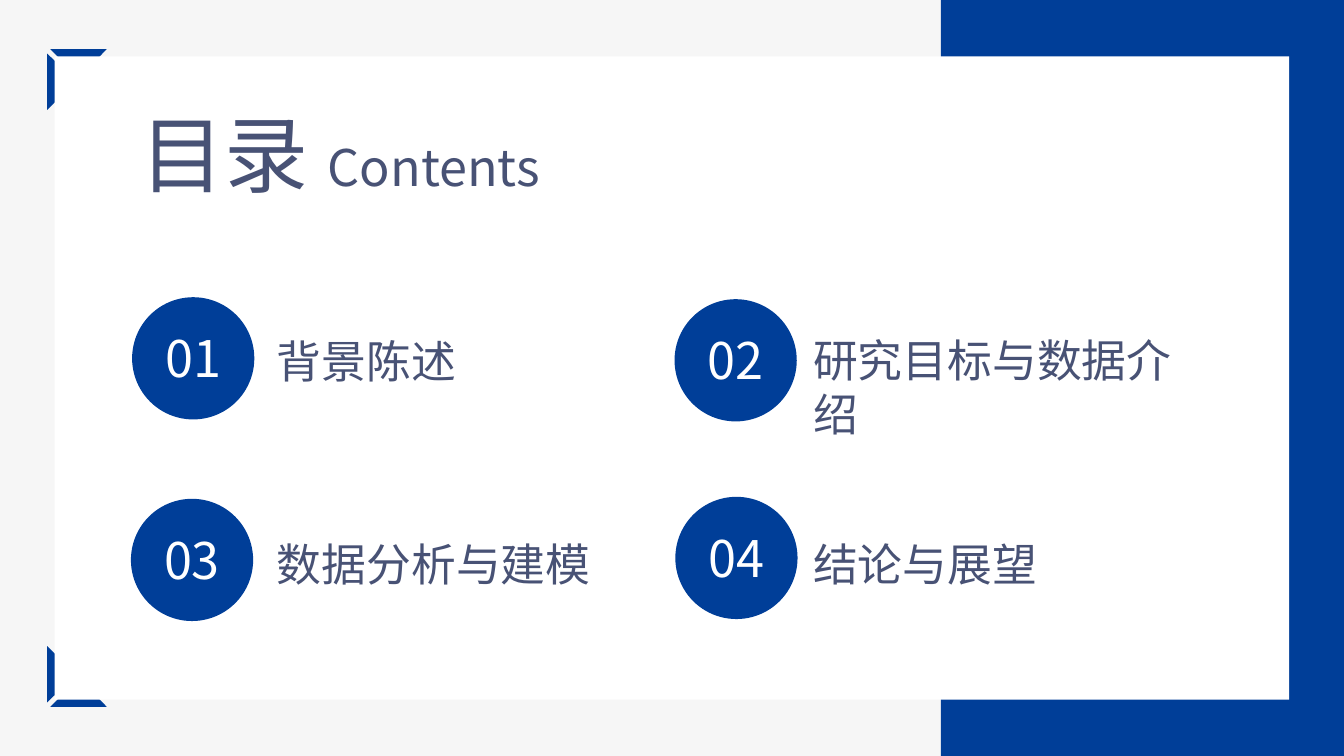
"""Builds a contents slide with four numbered topics on a framed white card."""
import dataclasses

import pptx
import pptx.dml.color
import pptx.enum.shapes
import pptx.enum.text
import pptx.util

Cm = pptx.util.Cm
Shape = pptx.enum.shapes.MSO_SHAPE
Align = pptx.enum.text.PP_ALIGN


@dataclasses.dataclass(frozen=True)
class Theme:
    """Colours, font and type sizes."""
    blue: str = "003E98"
    white: str = "FFFFFF"
    backdrop: str = "F6F6F6"
    ink: str = "485275"
    font: str = "Noto Sans CJK SC"
    title: int = 60
    subtitle: int = 36
    number: int = 36
    label: int = 32


THEME = Theme()
WIDTH, HEIGHT = 33.87, 19.05
CIRCLE = 3.08
NUMBER_WIDTH, NUMBER_HEIGHT = 2.01, 1.8
LABEL_HEIGHT = 1.63
CORNER_BARS = (
    ((1.27, 1.24), (2.69, 1.24), (2.34, 1.6), (1.63, 1.6)),
    ((1.19, 1.35), (1.55, 1.7), (1.55, 2.41), (1.19, 2.77)),
)
TOPICS = (
    ("01", (3.33, 7.49), "背景陈述", (6.73, 8.28), 9.93),
    ("02", (17, 7.54), "研究目标与数据介绍", (20.24, 8.26), 10.66),
    ("03", (3.3, 12.57), "数据分析与建模", (6.73, 13.39), 8.79),
    ("04", (17.02, 12.52), "结论与展望", (20.24, 13.39), 8.79),
)


def rgb(code):
    """Turn a hex code into a colour."""
    return pptx.dml.color.RGBColor.from_string(code)


def paint(shape, colour):
    """Give a shape a plain fill without line or shadow."""
    shape.shadow.inherit = False
    shape.fill.solid()
    shape.fill.fore_color.rgb = rgb(colour)
    shape.line.fill.background()


def add_block(page, kind, left, top, width, height, colour):
    """Add a plain preset shape."""
    shape = page.shapes.add_shape(kind, Cm(left), Cm(top), Cm(width), Cm(height))
    paint(shape, colour)


def add_corner(page, mirrored):
    """Add a corner bracket at the top left, or mirrored at the bottom left."""
    bars = [[(Cm(x), Cm(HEIGHT - y if mirrored else y)) for x, y in bar]
            for bar in CORNER_BARS]
    builder = page.shapes.build_freeform(*bars[0][0])
    builder.add_line_segments(bars[0][1:])
    builder.move_to(*bars[1][0])
    builder.add_line_segments(bars[1][1:])
    paint(builder.convert_to_shape(), THEME.blue)


def style_span(span, size, colour):
    """Set size, colour and font for Latin and Chinese text."""
    span.font.size = pptx.util.Pt(size)
    span.font.color.rgb = rgb(colour)
    span.font.name = THEME.font
    properties = span.font._element
    east_asian = properties.makeelement(pptx.oxml.ns.qn("a:ea"), {"typeface": THEME.font})
    properties.find(pptx.oxml.ns.qn("a:latin")).addnext(east_asian)


def add_text(page, left, top, width, height, spans, colour, align=Align.LEFT, wrap=True):
    """Add a one-paragraph text box from pairs of text and size."""
    box = page.shapes.add_textbox(Cm(left), Cm(top), Cm(width), Cm(height))
    box.text_frame.word_wrap = wrap
    box.text_frame.auto_size = pptx.enum.text.MSO_AUTO_SIZE.SHAPE_TO_FIT_TEXT
    para = box.text_frame.paragraphs[0]
    para.alignment = align
    for text, size in spans:
        span = para.add_run()
        span.text = text
        style_span(span, size, colour)


def add_topic(page, number, circle_at, label, label_at, label_width):
    """Add a numbered circle and its label."""
    left, top = circle_at
    add_block(page, Shape.OVAL, left, top, CIRCLE, CIRCLE, THEME.blue)
    add_text(page, left + (CIRCLE - NUMBER_WIDTH) / 2, top + (CIRCLE - NUMBER_HEIGHT) / 2,
             NUMBER_WIDTH, NUMBER_HEIGHT, [(number, THEME.number)], THEME.white,
             Align.CENTER, wrap=False)
    add_text(page, *label_at, label_width, LABEL_HEIGHT, [(label, THEME.label)], THEME.ink)


def main():
    """Build and save the deck."""
    deck = pptx.Presentation()
    deck.slide_width, deck.slide_height = Cm(WIDTH), Cm(HEIGHT)
    page = deck.slides.add_slide(deck.slide_layouts[6])
    page.background.fill.solid()
    page.background.fill.fore_color.rgb = rgb(THEME.backdrop)
    for mirrored in (True, False):
        add_corner(page, mirrored)
    add_block(page, Shape.RECTANGLE, 23.71, 0, 10.16, HEIGHT, THEME.blue)
    add_block(page, Shape.RECTANGLE, 1.38, 1.42, 31.11, 16.21, THEME.white)
    add_text(page, 3.3, 2.46, 11.43, 2.82,
             [("目录 ", THEME.title), ("Contents", THEME.subtitle)], THEME.ink)
    for topic in TOPICS:
        add_topic(page, *topic)
    deck.save("out.pptx")


if __name__ == "__main__":
    main()
